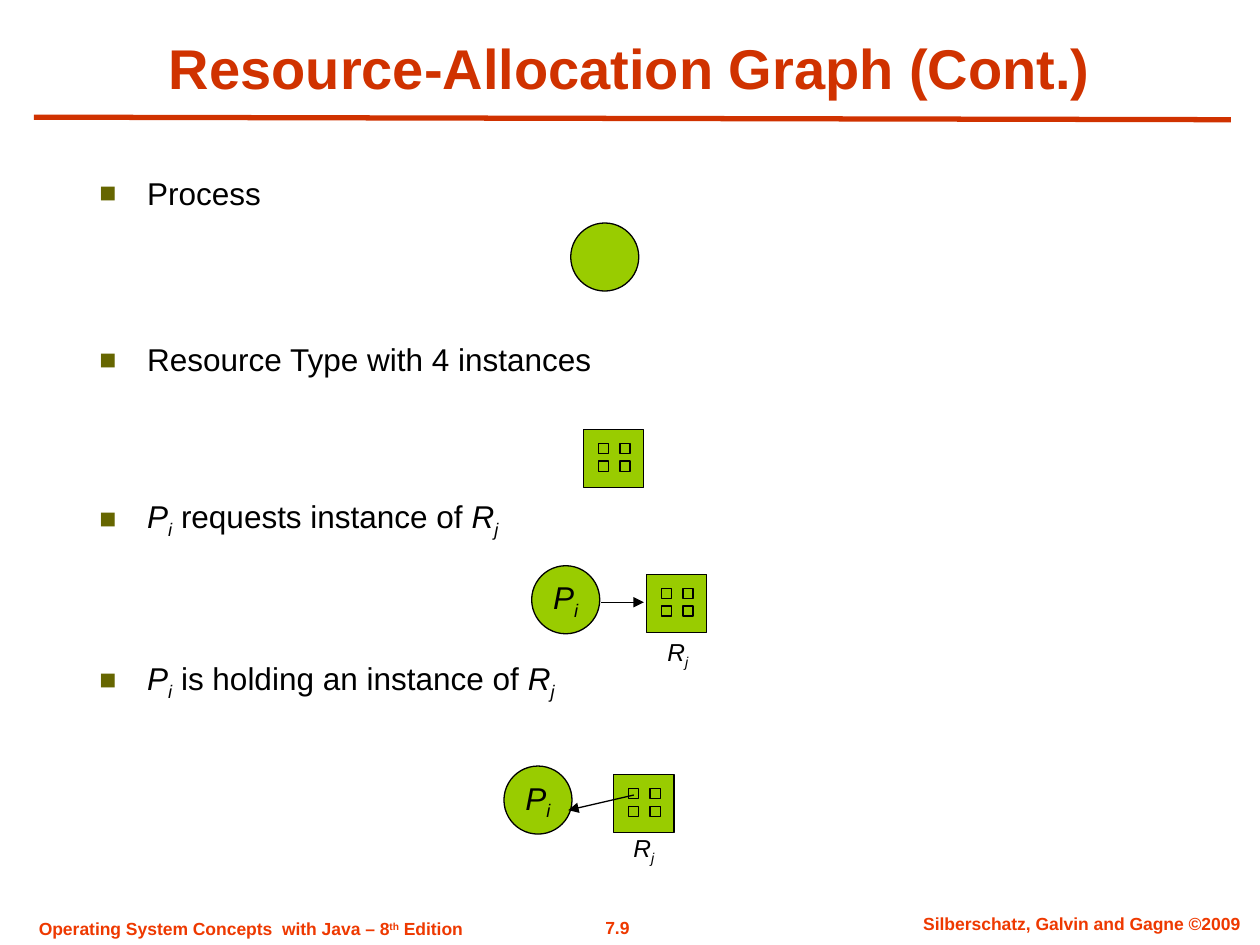
from lxml import etree
from pptx import Presentation
from pptx.dml.color import RGBColor
from pptx.enum import shapes as kinds, text as tx
from pptx.oxml.ns import qn
from pptx.util import Inches, Pt

RED, FOOT, GREEN, OLIVE, BLACK = "D03200", "EE3900", "99CC00", "666600", "000000"
LEFT, MID = tx.PP_ALIGN.LEFT, tx.PP_ALIGN.CENTER
TOP, CENTRE = tx.MSO_ANCHOR.TOP, tx.MSO_ANCHOR.MIDDLE

# A run is (text, italic, baseline shift in percent).
PI = [("P", True, 0), ("i", True, -25)]
RJ = [("R", True, 0), ("j", True, -25)]
TITLE = "Resource-Allocation Graph (Cont.)"
# Each bullet: space before in points, runs
BULLETS = [
    (0, [("Process", False, 0)]),
    (73.6, [("Resource Type with 4 instances", False, 0)]),
    (67.9, PI + [(" requests instance of ", False, 0)] + RJ),
    (67.9, PI + [(" is holding an instance of ", False, 0)] + RJ),
]
# Each footer: box, alignment, wrap, runs
FOOTERS = [
    ((0.21, 7.24, 3.56, 0.27), LEFT, False,
     [("Operating System Concepts  with Java – 8", False, 0),
      ("th", False, 30), (" Edition", False, 0)]),
    ((4.41, 7.23, 0.98, 0.27), MID, False, [("7.9", False, 0)]),
    ((7.1, 7.2, 2.97, 0.27), MID, True,
     [("Silberschatz, Galvin and Gagne ©2009", False, 0)]),
]
NODES = [(4.53, 1.77, []), (4.22, 4.49, PI), (4, 6.08, PI)]
TYPES = [(4.63, 3.41), (5.13, 4.56), (4.87, 6.15)]
LABELS = [(5.2, 5), (4.93, 6.56)]
ARROWS = [(4.77, 4.78, 5.11, 4.78), (5.03, 6.31, 4.51, 6.43)]


def color(code):
    return RGBColor.from_string(code)


def write(para, runs, **look):
    for words, slant, shift in runs:
        run = para.add_run()
        run.text = words
        form = {"name": "Arial", "italic": slant, **look}
        tint = form.pop("tint", BLACK)
        for key, value in form.items():
            setattr(run.font, key, value)
        run.font.color.rgb = color(tint)
        if shift:
            run._r.get_or_add_rPr().set("baseline", str(shift * 1000))


def setup(frame, wrap, anchor):
    frame.word_wrap = wrap
    frame.auto_size = tx.MSO_AUTO_SIZE.NONE
    frame.vertical_anchor = anchor


def add_text(slide, box, runs, align=MID, wrap=False, anchor=CENTRE, **look):
    frame = slide.shapes.add_textbox(*map(Inches, box)).text_frame
    setup(frame, wrap, anchor)
    frame.paragraphs[0].alignment = align
    write(frame.paragraphs[0], runs, **look)


def add_bullet(para):
    props = para._p.get_or_add_pPr()
    props.set("marL", str(Inches(0.38)))
    props.set("indent", str(-Inches(0.38)))
    tint = etree.SubElement(props, qn("a:buClr"))
    etree.SubElement(tint, qn("a:srgbClr"), val=OLIVE)
    etree.SubElement(props, qn("a:buSzPct"), val="90000")
    etree.SubElement(props, qn("a:buFont"), typeface="Arial")
    etree.SubElement(props, qn("a:buChar"), char="■")


def add_body(slide):
    frame = slide.shapes.add_textbox(*map(Inches, (0.69, 1.33, 8.46, 4.96))).text_frame
    setup(frame, True, TOP)
    for n, (gap, runs) in enumerate(BULLETS):
        para = frame.add_paragraph() if n else frame.paragraphs[0]
        add_bullet(para)
        if gap:
            para.space_before = Pt(gap)
        write(para, runs, size=Pt(18))


def add_form(parent, kind, *box):
    form = parent.shapes.add_shape(kind, *map(Inches, box))
    form.shadow.inherit = False
    form.fill.solid()
    form.fill.fore_color.rgb = color(GREEN)
    form.line.color.rgb = color(BLACK)
    form.line.width = Pt(0.75)
    return form


def add_type(slide, x, y):
    """Draw a resource type: a box holding a 2 by 2 grid of instances."""
    group = slide.shapes.add_group_shape()
    rect = kinds.MSO_SHAPE.RECTANGLE
    add_form(group, rect, x, y, 0.48, 0.46)
    for row in range(2):
        for col in range(2):
            add_form(group, rect, x + 0.12 + 0.17 * col, y + 0.11 + 0.14 * row, 0.08, 0.08)


def add_line(slide, ends, tint, width, head=False):
    line = slide.shapes.add_connector(kinds.MSO_CONNECTOR.STRAIGHT, *map(Inches, ends))
    line.line.color.rgb = color(tint)
    line.line.width = Pt(width)
    if head:
        etree.SubElement(line.line._get_or_add_ln(), qn("a:tailEnd"), type="triangle")
    etree.SubElement(line._element.spPr, qn("a:effectLst"))


def main():
    deck = Presentation()
    deck.slide_width, deck.slide_height = Inches(10), Inches(7.5)
    slide = deck.slides.add_slide(deck.slide_layouts[5])

    for box, align, wrap, runs in FOOTERS:
        add_text(slide, box, runs, align, wrap, TOP, size=Pt(10), bold=True, tint=FOOT)
    add_line(slide, (0.27, 0.93, 9.77, 0.95), RED, 3)

    title = slide.shapes.title
    title.left, title.top, title.width, title.height = map(Inches, (0.5, 0.22, 9, 0.63))
    setup(title.text_frame, True, tx.MSO_ANCHOR.BOTTOM)
    head = title.text_frame.paragraphs[0]
    head.alignment = MID
    write(head, [(TITLE, False, 0)], size=Pt(32), bold=True, tint=RED)
    add_body(slide)

    for x, y, runs in NODES:
        node = add_form(slide, kinds.MSO_SHAPE.OVAL, x, y, 0.54, 0.54)
        setup(node.text_frame, False, CENTRE)
        node.text_frame.paragraphs[0].alignment = MID
        write(node.text_frame.paragraphs[0], runs, size=Pt(18))
    for spot in TYPES:
        add_type(slide, *spot)
    for ends in ARROWS:
        add_line(slide, ends, BLACK, 0.75, head=True)
    for x, y in LABELS:
        add_text(slide, (x, y, 0.36, 0.37), RJ, size=Pt(14))

    deck.save("out.pptx")


if __name__ == "__main__":
    main()
